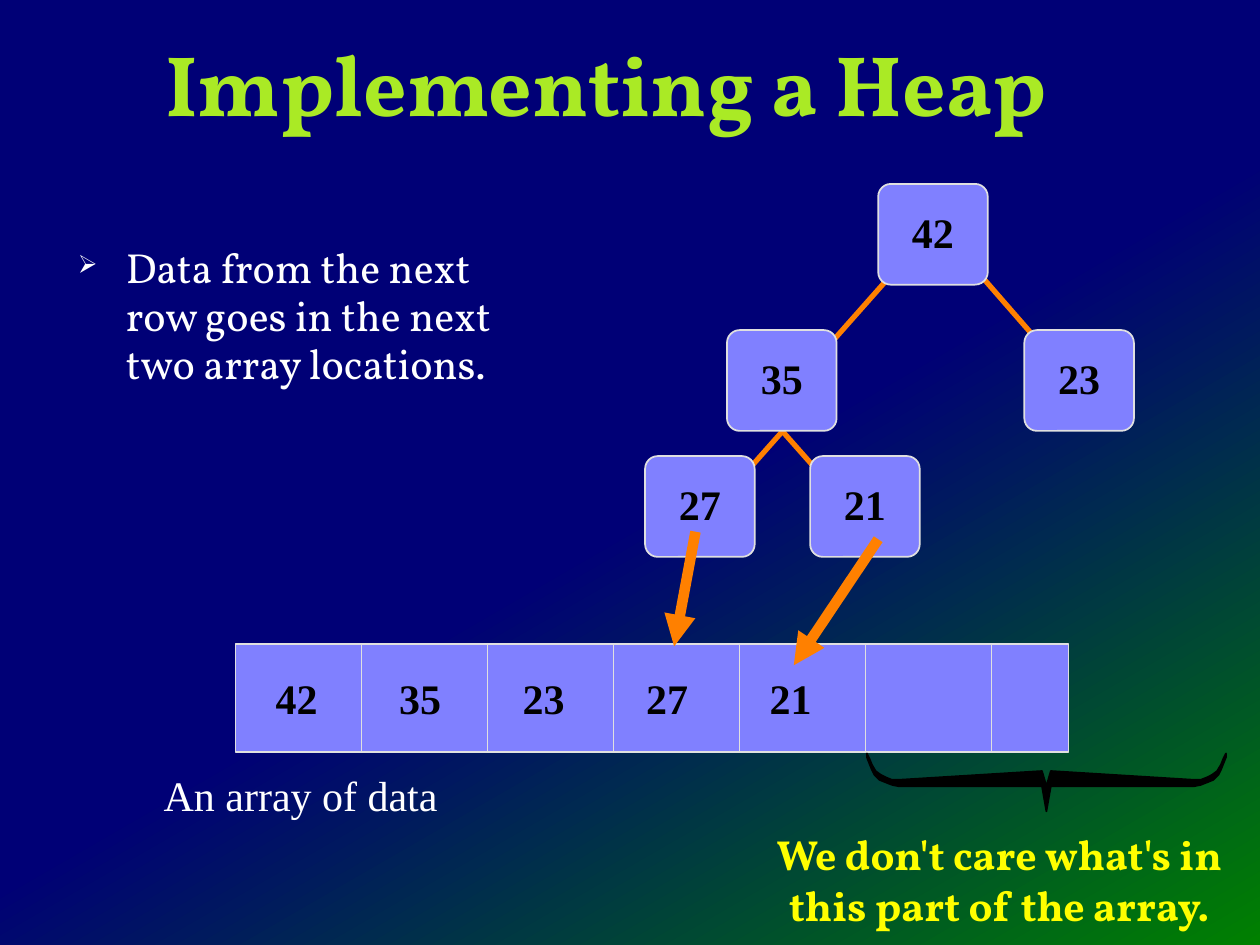
from copy import deepcopy
from dataclasses import dataclass

from lxml import etree
from pptx import Presentation
from pptx.dml.color import RGBColor
from pptx.enum import shapes, text
from pptx.oxml import ns
from pptx.util import Inches, Pt


@dataclass(frozen=True)
class Theme:
    navy: str = "000076"
    green: str = "008000"
    lime: str = "AAEA25"
    white: str = "FFFFFF"
    black: str = "000000"
    yellow: str = "FFFF00"
    cell: str = "8080FF"
    outline: str = "E0E0E0"
    orange: str = "FF8000"
    display: str = "Vollkorn"
    serif: str = "Times New Roman"
    title_size: int = 49
    body_size: int = 24


@dataclass(frozen=True)
class Node:
    value: str
    left: float
    top: float


@dataclass(frozen=True)
class Line:
    x1: float
    y1: float
    x2: float
    y2: float


THEME = Theme()
NODE_WIDTH, NODE_HEIGHT = 0.87, 0.8
ARRAY_LEFT, ARRAY_TOP, ARRAY_WIDTH, ARRAY_HEIGHT = 1.87, 5.11, 6.61, 0.86
LABEL_LEFT, LABEL_STEP = 2.09, 0.98
BRACE_CENTER = 8.305

NODES = [
    Node("42", 6.97, 1.46),
    Node("35", 5.77, 2.62),
    Node("23", 8.13, 2.62),
    Node("27", 5.12, 3.62),
    Node("21", 6.43, 3.62),
]
EDGES = [
    Line(7.04, 2.22, 6.42, 2.92),
    Line(7.77, 2.17, 8.38, 2.87),
    Line(6.39, 3.22, 5.77, 3.92),
    Line(6.03, 3.22, 6.65, 3.92),
]
ARROWS = [Line(5.52, 4.22, 5.35, 5.13), Line(6.97, 4.28, 6.3, 5.28)]
BRACE_HALF = [
    (8.34, 6.24), (9.48, 6.24), (9.53, 6.23), (9.58, 6.21), (9.63, 6.19),
    (9.67, 6.15), (9.69, 6.11), (9.71, 6.06), (9.73, 6.01), (9.73, 5.98),
    (9.71, 6.02), (9.69, 6.07), (9.66, 6.12), (9.62, 6.15), (9.58, 6.17),
    (9.53, 6.19), (9.48, 6.19), (8.34, 6.12),
]


def color(value: str) -> RGBColor:
    return RGBColor.from_string(value)


def paint_background(page) -> None:
    fill = page.background.fill
    fill.gradient()
    fill.gradient_angle = 300
    first = fill.gradient_stops[0]._gs
    first.addnext(deepcopy(first))
    stops = [(0, THEME.navy), (0.53, THEME.navy), (1, THEME.green)]
    for stop, (position, shade) in zip(fill.gradient_stops, stops):
        stop.position = position
        stop.color.rgb = color(shade)


def write(para, words: str, shade: str, font: str = THEME.serif,
          size: int = THEME.body_size, bold: bool = False,
          spacing: float = 0.95, align=text.PP_ALIGN.LEFT) -> None:
    para.alignment = align
    para.line_spacing = spacing
    para.space_before = Pt(0)
    span = para.add_run()
    span.text = words
    span.font.name = font
    span.font.size = Pt(size)
    span.font.bold = bold
    span.font.color.rgb = color(shade)


def add_box(page, left: float, top: float, width: float, height: float,
            wrap: bool = True):
    box = page.shapes.add_textbox(
        Inches(left), Inches(top), Inches(width), Inches(height))
    box.text_frame.word_wrap = wrap
    return box.text_frame


def style(shape, fill: str, outline: str):
    shape.shadow.inherit = False
    shape.fill.solid()
    shape.fill.fore_color.rgb = color(fill)
    shape.line.color.rgb = color(outline)
    shape.line.width = Pt(1)
    return shape


def add_line(page, line: Line, shade: str, width: float,
             arrow: bool = False) -> None:
    connector = page.shapes.add_connector(
        shapes.MSO_CONNECTOR.STRAIGHT, Inches(line.x1), Inches(line.y1),
        Inches(line.x2), Inches(line.y2))
    connector.line.color.rgb = color(shade)
    connector.line.width = Pt(width)
    if arrow:
        etree.SubElement(connector.line._get_or_add_ln(),
                         ns.qn("a:tailEnd"), type="triangle")
    etree.SubElement(connector._element.spPr, ns.qn("a:effectLst"))


def add_node(page, node: Node) -> None:
    shape = style(page.shapes.add_shape(
        shapes.MSO_SHAPE.ROUNDED_RECTANGLE, Inches(node.left), Inches(node.top),
        Inches(NODE_WIDTH), Inches(NODE_HEIGHT)), THEME.cell, THEME.outline)
    shape.adjustments[0] = 0.126
    shape.text_frame.vertical_anchor = text.MSO_ANCHOR.MIDDLE
    write(shape.text_frame.paragraphs[0], node.value, THEME.black, bold=True,
          align=text.PP_ALIGN.CENTER)


def add_title(page) -> None:
    title = page.shapes.title
    title.left, title.top = Inches(0.56), Inches(0.25)
    title.width, title.height = Inches(8.5), Inches(0.88)
    frame = title.text_frame
    frame.auto_size = text.MSO_AUTO_SIZE.NONE
    frame.vertical_anchor = text.MSO_ANCHOR.BOTTOM
    write(frame.paragraphs[0], "Implementing a Heap", THEME.lime, THEME.display,
          THEME.title_size, True, align=text.PP_ALIGN.CENTER)


def add_bullet(page) -> None:
    frame = add_box(page, 0.5, 1.55, 3.72, 1.93)
    frame.vertical_anchor = text.MSO_ANCHOR.MIDDLE
    para = frame.paragraphs[0]
    properties = para._p.get_or_add_pPr()
    properties.set("marL", str(Inches(0.4)))
    properties.set("indent", str(Inches(-0.38)))
    etree.SubElement(properties, ns.qn("a:buSzPct"), val="60000")
    etree.SubElement(properties, ns.qn("a:buChar"), char="➢")
    write(para, "Data from the next row goes in the next two array locations.",
          THEME.white, THEME.display)


def add_array(page) -> None:
    style(page.shapes.add_shape(
        shapes.MSO_SHAPE.RECTANGLE, Inches(ARRAY_LEFT), Inches(ARRAY_TOP),
        Inches(ARRAY_WIDTH), Inches(ARRAY_HEIGHT)), THEME.cell, THEME.outline)
    for index in range(1, 7):
        x = ARRAY_LEFT + index
        add_line(page, Line(x, ARRAY_TOP, x, ARRAY_TOP + ARRAY_HEIGHT),
                 THEME.outline, 1)
    for index, node in enumerate(NODES):
        frame = add_box(page, LABEL_LEFT + index * LABEL_STEP, 5.32, 0.53, 0.5,
                        wrap=False)
        write(frame.paragraphs[0], node.value, THEME.black, bold=True)
    caption = add_box(page, 1.2, 6.09, 2.39, 0.47, wrap=False)
    write(caption.paragraphs[0], "An array of data", THEME.white, spacing=0.93)


def add_brace(page) -> None:
    mirrored = [(2 * BRACE_CENTER - x, y) for x, y in reversed(BRACE_HALF)]
    points = BRACE_HALF + [(BRACE_CENTER, 6.24)] + mirrored
    builder = page.shapes.build_freeform(
        Inches(BRACE_CENTER), Inches(6.44), scale=1.0)
    builder.add_line_segments([(Inches(x), Inches(y)) for x, y in points])
    style(builder.convert_to_shape(), THEME.black, THEME.black)


def add_remark(page) -> None:
    frame = add_box(page, 5.94, 6.56, 3.98, 0.88)
    lines = ["We don't care what's in", "this part of the array."]
    for index, words in enumerate(lines):
        para = frame.add_paragraph() if index else frame.paragraphs[0]
        write(para, words, THEME.yellow, THEME.display, bold=True,
              spacing=1.0 if index else 0.93, align=text.PP_ALIGN.CENTER)


def main() -> None:
    deck = Presentation()
    deck.slide_width, deck.slide_height = Inches(10), Inches(7.5)
    page = deck.slides.add_slide(deck.slide_layouts[5])
    paint_background(page)
    add_title(page)
    add_bullet(page)
    add_array(page)
    for edge in EDGES:
        add_line(page, edge, THEME.orange, 3)
    for node in NODES:
        add_node(page, node)
    for arrow in ARROWS:
        add_line(page, arrow, THEME.orange, 6, arrow=True)
    add_brace(page)
    add_remark(page)
    deck.save("out.pptx")


if __name__ == "__main__":
    main()
